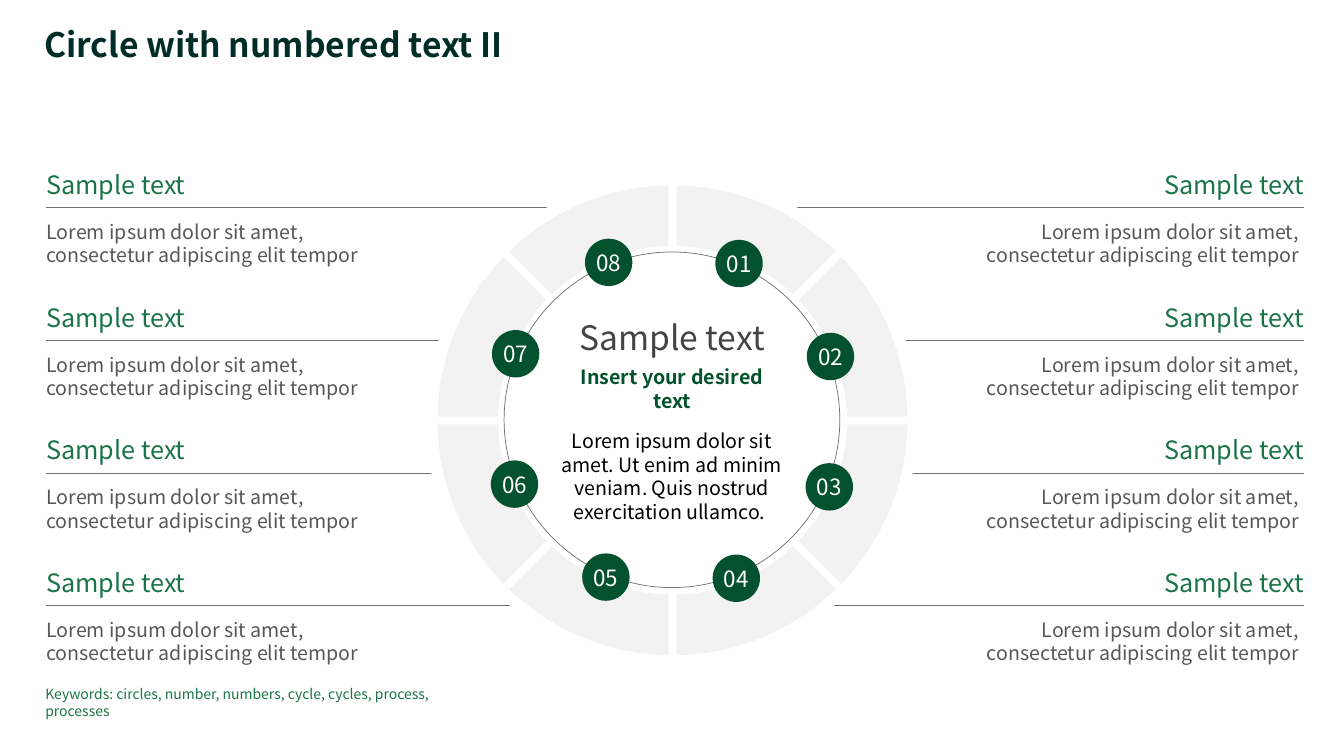
from math import asin, cos, pi, radians, sin, tan

from lxml import etree
from pptx import Presentation
from pptx.dml.color import RGBColor
from pptx.enum.shapes import MSO_CONNECTOR, MSO_SHAPE
from pptx.enum.text import MSO_ANCHOR, MSO_AUTO_SIZE, PP_ALIGN
from pptx.oxml.ns import qn
from pptx.util import Inches, Pt

COLORS = {
    "title": "002D28",
    "heading": "1A7449",
    "body": "575757",
    "line": "6E6F73",
    "ring": "F2F2F2",
    "badge": "03522D",
    "center": "444444",
    "black": "000000",
    "white": "FFFFFF",
}
FONT = "Noto Sans CJK JP"


def set_text(sp, paragraphs, align=PP_ALIGN.LEFT, anchor=MSO_ANCHOR.TOP,
             margins=(0, 0, 0, 0), wrap=True):
    """Fill a shape with (text, size, color, bold, space after) paragraphs."""
    tf = sp.text_frame
    tf.word_wrap = wrap
    tf.vertical_anchor = anchor
    tf.margin_left, tf.margin_top, tf.margin_right, tf.margin_bottom = map(Inches, margins)
    for i, (text, size, color, bold, after) in enumerate(paragraphs):
        p = tf.add_paragraph() if i else tf.paragraphs[0]
        p.text = text
        p.alignment = align
        p.space_before = Pt(0)
        p.space_after = Pt(after)
        for r in p.runs:
            r.font.name = FONT
            r.font.size = Pt(size)
            r.font.bold = bold
            r.font.color.rgb = RGBColor.from_string(COLORS[color])


def paint(sp, fill=None, line=None):
    """Set fill and outline; None leaves that part empty."""
    sp.shadow.inherit = False
    if fill:
        sp.fill.solid()
        sp.fill.fore_color.rgb = RGBColor.from_string(COLORS[fill])
    else:
        sp.fill.background()
    if line:
        sp.line.color.rgb = RGBColor.from_string(COLORS[line])
        sp.line.width = Pt(0.5)
    else:
        sp.line.fill.background()


prs = Presentation()
prs.slide_width = Inches(13.33)
prs.slide_height = Inches(7.5)
s = prs.slides.add_slide(prs.slide_layouts[5])
shapes = s.shapes

title = shapes.title
title.left, title.top = Inches(0.44), Inches(0.28)
title.width, title.height = Inches(11.03), Inches(0.37)
set_text(title, [("Circle with numbered text II", 24, "title", True, 0)])
title.text_frame.paragraphs[0].line_spacing = 0.9
title.text_frame.auto_size = MSO_AUTO_SIZE.SHAPE_TO_FIT_TEXT

# Text blocks on both sides: outer line end, inner line ends, text left, alignment
FIRST_ROW, LAST_ROW = 2.06, 6.01
SIDES = [
    (12.93, [7.66, 7.95, 7.95, 7.66], 9.77, PP_ALIGN.RIGHT, " "),
    (0.46, [5.73, 5.44, 5.44, 5.73], 0.46, PP_ALIGN.LEFT, ""),
]
for outer, inner_ends, left, align, tail in SIDES:
    body = "Lorem ipsum dolor sit amet, \vconsectetur adipiscing elit tempor" + tail
    for row, inner in enumerate(inner_ends):
        y = FIRST_ROW + (LAST_ROW - FIRST_ROW) / 3 * row
        rule = shapes.add_connector(MSO_CONNECTOR.STRAIGHT, Inches(min(inner, outer)), Inches(y),
                                    Inches(max(inner, outer)), Inches(y))
        rule.line.color.rgb = RGBColor.from_string(COLORS["line"])
        rule.line.width = Pt(0.5)
        etree.SubElement(rule._element.spPr, qn("a:effectLst"))

        heading = shapes.add_textbox(Inches(left), Inches(y - 0.38), Inches(3.16), Inches(0.38))
        set_text(heading, [("Sample text", 18, "heading", False, 0)], align,
                 MSO_ANCHOR.BOTTOM, (0, 0, 0, 0.08))
        detail = shapes.add_textbox(Inches(left), Inches(y), Inches(3.16), Inches(0.67))
        set_text(detail, [(body, 14, "body", False, 6)], align, margins=(0, 0.12, 0, 0.08))
        for sp in (heading, detail):
            sp.text_frame.auto_size = MSO_AUTO_SIZE.SHAPE_TO_FIT_TEXT

# Ring
CX, CY = 6.67, 4.17
OUTER_R, INNER_R, HALF_GAP = 2.33, 1.73, 0.04
BADGE_R, BADGE_SIZE = 1.69, 0.47

backdrop = shapes.add_shape(MSO_SHAPE.OVAL, Inches(4.22), Inches(1.72), Inches(4.89), Inches(4.89))
paint(backdrop, "white")

hub = shapes.add_shape(MSO_SHAPE.OVAL, Inches(5), Inches(2.5), Inches(3.33), Inches(3.33))
paint(hub, line="line")
set_text(hub, [
    ("Sample text", 24, "center", False, 6),
    ("Insert your desired text", 14, "badge", True, 12),
    ("Lorem ipsum dolor sit amet. Ut enim ad minim veniam. "
     "Quis nostrud exercitation ullamco. ", 14, "black", False, 6),
], PP_ALIGN.CENTER, MSO_ANCHOR.MIDDLE, (0.08, 0.04, 0.08, 0.04))

for k in range(8):
    middle = -pi / 2 + (k + 0.5) * pi / 4
    outline = []
    for radius, turn in ((OUTER_R, 1), (INNER_R, -1)):
        half = turn * (pi / 8 - asin(HALF_GAP / radius))
        handle = radius * 4 / 3 * tan(half / 2)
        # Each arc is one Bezier curve: start, two handles, end
        for a, pull in ((middle - half, 0), (middle - half, handle),
                        (middle + half, -handle), (middle + half, 0)):
            outline.append((Inches(CX + radius * cos(a) - pull * sin(a)),
                            Inches(CY + radius * sin(a) + pull * cos(a))))
    builder = shapes.build_freeform(*outline[0], scale=1.0)
    builder.add_line_segments(outline[1:], close=True)
    segment = builder.convert_to_shape()
    steps = list(segment._element.iter(qn("a:lnTo")))
    for first in (0, 4):
        curve = etree.Element(qn("a:cubicBezTo"))
        steps[first].addprevious(curve)
        for step in steps[first:first + 3]:
            curve.append(step[0])
            step.getparent().remove(step)
    paint(segment, "ring")

for k in range(8):
    a = radians(-67 + 45 * k)
    badge = shapes.add_shape(MSO_SHAPE.OVAL,
                             Inches(CX + BADGE_R * cos(a) - BADGE_SIZE / 2),
                             Inches(CY + BADGE_R * sin(a) - BADGE_SIZE / 2),
                             Inches(BADGE_SIZE), Inches(BADGE_SIZE))
    paint(badge, "badge")
    set_text(badge, [(f"{k + 1:02}", 16, "white", False, 0)], PP_ALIGN.CENTER,
             MSO_ANCHOR.MIDDLE, wrap=False)

keywords = shapes.add_textbox(Inches(0.45), Inches(6.8), Inches(4.4), Inches(0.17))
set_text(keywords, [("Keywords: circles, number, numbers, cycle, cycles, process, processes",
                     10, "heading", False, 1.1)])
keywords.text_frame.auto_size = MSO_AUTO_SIZE.SHAPE_TO_FIT_TEXT

prs.save("out.pptx")
